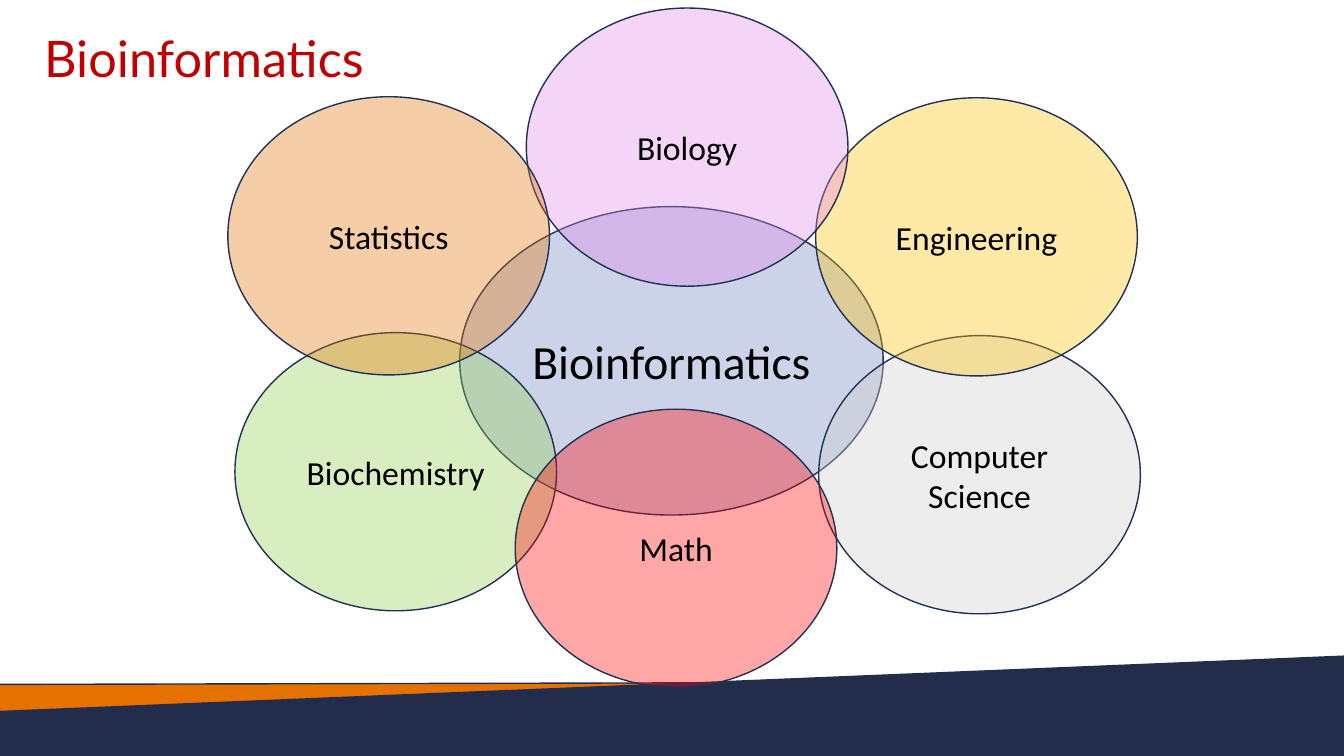
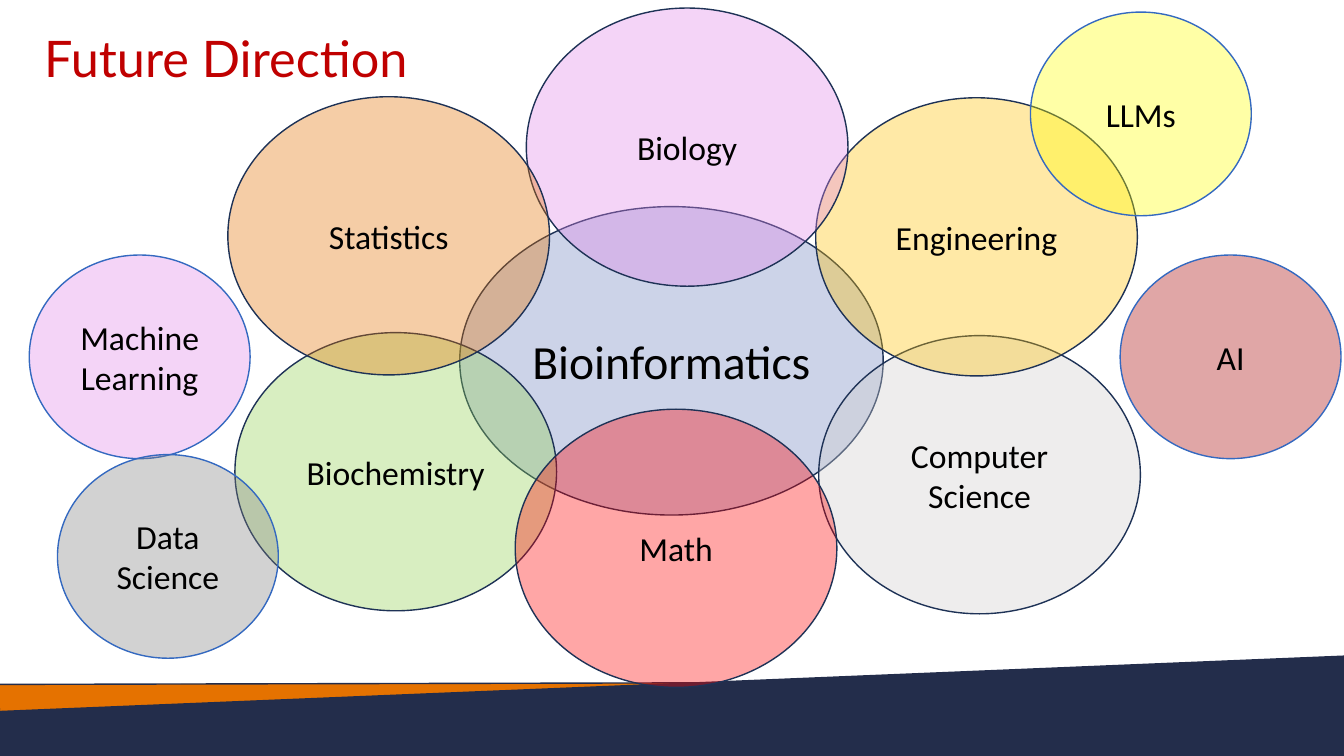
from dataclasses import dataclass

from lxml.etree import SubElement
from pptx import Presentation
from pptx.dml.color import RGBColor
from pptx.enum.shapes import MSO_SHAPE
from pptx.enum.text import MSO_ANCHOR, PP_ALIGN
from pptx.oxml.ns import qn
from pptx.util import Inches, Pt


@dataclass(frozen=True)
class Theme:
    navy: str = "232D4B"
    orange: str = "E57200"
    title: str = "C00000"
    text: str = "000000"
    core: str = "CCD3E8"
    field_line: str = "1E3256"
    trend_line: str = "3469C0"
    gray: str = "D0CECE"
    gold: str = "FFC000"
    violet: str = "E285E9"
    green: str = "92D050"
    red: str = "FF0000"
    dark_red: str = "A90000"
    yellow: str = "FFFF00"
    mid_gray: str = "808080"
    title_font: str = "Lato"
    body_font: str = "Calibri"
    title_size: int = 36
    core_size: int = 34
    label_size: int = 24
    opacity: int = 35


theme = Theme()


def paint(shape, fill, line):
    shape.shadow.inherit = False
    shape.fill.solid()
    shape.fill.fore_color.rgb = RGBColor.from_string(fill)
    shape.line.color.rgb = RGBColor.from_string(line)
    shape.line.width = Pt(1)


def write(shape, text, font, size, color, align):
    shape.text_frame.word_wrap = True
    shape.text_frame.text = text
    for paragraph in shape.text_frame.paragraphs:
        paragraph.alignment = align
        paragraph.font.name = font
        paragraph.font.size = Pt(size)
        paragraph.font.color.rgb = RGBColor.from_string(color)


bands = [
    (theme.orange, [(13.33, 6.76), (13.34, 7.27), (0, 7.57), (-0.01, 6.79)]),
    (theme.navy, [(-0.01, 7.57), (-0.01, 7.06), (13.33, 6.51), (13.34, 7.54)]),
]
core = [("Bioinformatics", 4.56, 2.05, theme.core)]
fields = [
    ("Computer\nScience", 8.12, 3.33, theme.gray),
    ("Engineering", 8.09, 0.97, theme.gold),
    ("Biology", 5.22, 0.08, theme.violet),
    ("Biochemistry", 2.33, 3.3, theme.green),
    ("Math", 5.11, 4.06, theme.red),
    ("Statistics", 2.26, 0.96, theme.orange),
]
trends = [
    ("Machine Learning", 0.29, 2.53, theme.violet),
    ("AI", 11.11, 2.53, theme.dark_red),
    ("LLMs", 10.22, 0.12, theme.yellow),
    ("Data Science", 0.57, 4.51, theme.mid_gray),
]
core_group = (core, 4.2, 3.06, theme.field_line, theme.core_size, 100)
field_group = (fields, 3.19, 2.76, theme.field_line, theme.label_size, theme.opacity)
trend_group = (trends, 2.19, 2.02, theme.trend_line, theme.label_size, theme.opacity)
pages = [
    ("Bioinformatics", [core_group, field_group]),
    ("Future Direction", [core_group, field_group, trend_group]),
]

deck = Presentation()
deck.slide_width = Inches(13.33)
deck.slide_height = Inches(7.5)

for heading, groups in pages:
    slide = deck.slides.add_slide(deck.slide_layouts[6])

    for color, corners in bands:
        points = [(Inches(x), Inches(y)) for x, y in corners]
        outline = slide.shapes.build_freeform(*points[0])
        outline.add_line_segments(points[1:], close=True)
        paint(outline.convert_to_shape(), color, theme.navy)

    title = slide.shapes.add_textbox(Inches(0.34), Inches(0.22), Inches(7.79), Inches(0.71))
    write(title, heading, theme.title_font, theme.title_size, theme.title, PP_ALIGN.LEFT)

    for circles, width, height, line, size, opacity in groups:
        for label, left, top, color in circles:
            circle = slide.shapes.add_shape(
                MSO_SHAPE.OVAL, Inches(left), Inches(top), Inches(width), Inches(height)
            )
            paint(circle, color, line)
            if opacity < 100:
                fill_color = circle.fill._xPr.find(qn("a:solidFill"))[0]
                SubElement(fill_color, qn("a:alpha"), val=str(opacity * 1000))
            circle.text_frame.vertical_anchor = MSO_ANCHOR.MIDDLE
            write(circle, label, theme.body_font, size, theme.text, PP_ALIGN.CENTER)

deck.save("out.pptx")
